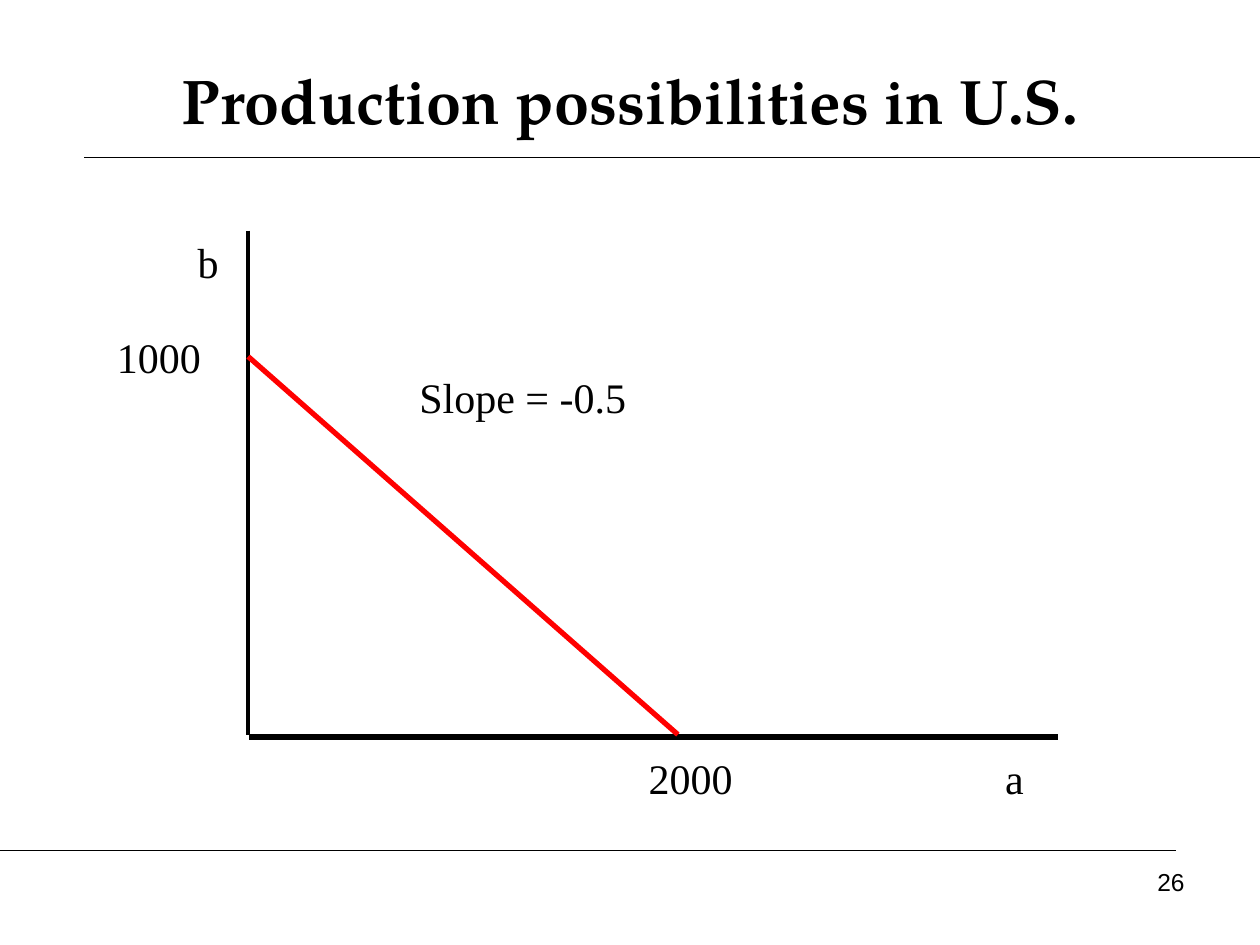
from pptx import Presentation
from pptx import util as u
from pptx.dml import color
from pptx.enum import shapes, text
from pptx.oxml import ns, xmlchemy

HUES = {"ink": "000000", "curve": "FF0000"}
ALIGN = text.PP_ALIGN
TITLE = {"name": "TeX Gyre Pagella", "size": u.Pt(36), "bold": True}
LABEL = {"name": "Times New Roman", "size": u.Pt(24)}
PAGE = {"name": "Arial", "size": u.Pt(14)}

RULES = [(0.67, 1.25, 10, 1.25), (0, 6.75, 9.33, 6.75)]
GRAPH = [
    (1.97, 1.83, 1.97, 5.83, "ink", 2.25),
    (1.98, 5.85, 8.4, 5.85, "ink", 3),
    (1.97, 2.83, 5.38, 5.83, "curve", 3),
]
LABELS = [
    ("b", 1.47, 1.83, 0.42),
    ("a", 7.88, 5.92, 0.5),
    ("2000", 5.05, 5.92, 1.18),
    ("1000", 0.83, 2.58, 1.05),
    ("Slope = -0.5", 3.23, 2.9, 3.5),
]


def rgb(hue):
    """Return the named colour."""
    return color.RGBColor.from_string(HUES[hue])


def write(frame, words, style, align=ALIGN.LEFT):
    """Fill a text frame with one styled paragraph."""
    frame.word_wrap = True
    para = frame.paragraphs[0]
    para.alignment = align
    run = para.add_run()
    run.text = words
    for key, value in style.items():
        setattr(run.font, key, value)
    run.font.color.rgb = rgb("ink")


def add_line(tree, x1, y1, x2, y2, hue="ink", width=0.75):
    """Draw a straight line without a shadow."""
    ends = [u.Inches(n) for n in (x1, y1, x2, y2)]
    line = tree.add_connector(shapes.MSO_CONNECTOR.STRAIGHT, *ends)
    line.line.color.rgb = rgb(hue)
    line.line.width = u.Pt(width)
    line._element.spPr.append(xmlchemy.OxmlElement("a:effectLst"))


def add_label(tree, words, x, y, w, h=0.5, style=LABEL, align=ALIGN.LEFT):
    """Place a text box."""
    box = tree.add_textbox(*[u.Inches(n) for n in (x, y, w, h)])
    write(box.text_frame, words, style, align)


def set_title(slide, words):
    """Move and format the title placeholder."""
    title = slide.shapes.title
    place = {"left": 0.5, "top": 0.33, "width": 9, "height": 0.92}
    for key, value in place.items():
        setattr(title, key, u.Inches(value))
    title.text_frame.vertical_anchor = text.MSO_ANCHOR.MIDDLE
    write(title.text_frame, words, TITLE, ALIGN.CENTER)


def main():
    """Build and save the slide."""
    deck = Presentation()
    deck.slide_width, deck.slide_height = u.Inches(10), u.Inches(7.5)
    slide = deck.slides.add_slide(deck.slide_layouts[5])
    set_title(slide, "Production possibilities in U.S.")
    for rule in RULES:
        add_line(slide.shapes, *rule)
    graph = slide.shapes.add_group_shape().shapes
    for line in GRAPH:
        add_line(graph, *line)
    for label in LABELS:
        add_label(graph, *label)
    add_label(slide.shapes, "26", 7.17, 6.83, 2.33, 0.52, PAGE, ALIGN.RIGHT)
    deck.save("out.pptx")


if __name__ == "__main__":
    main()
